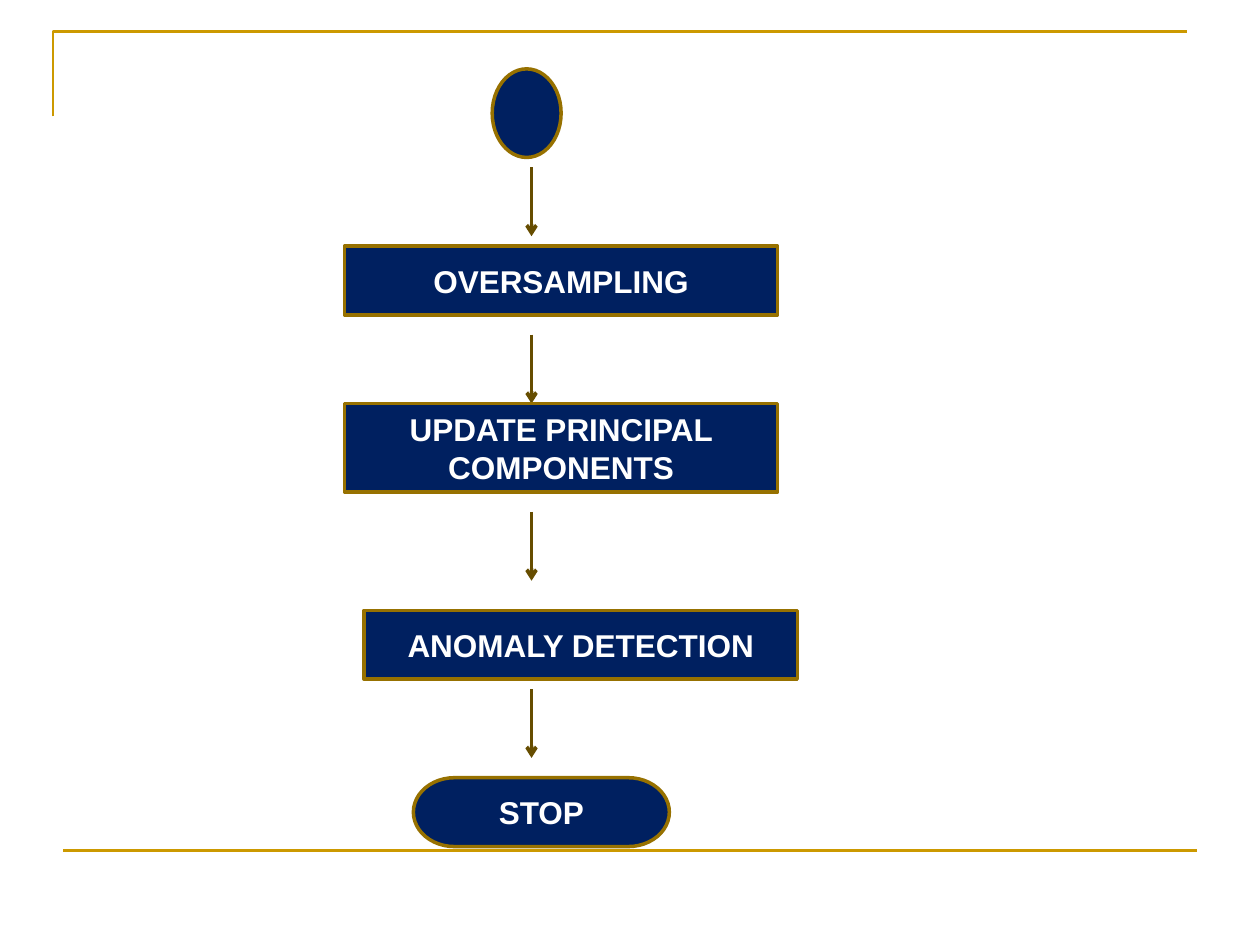
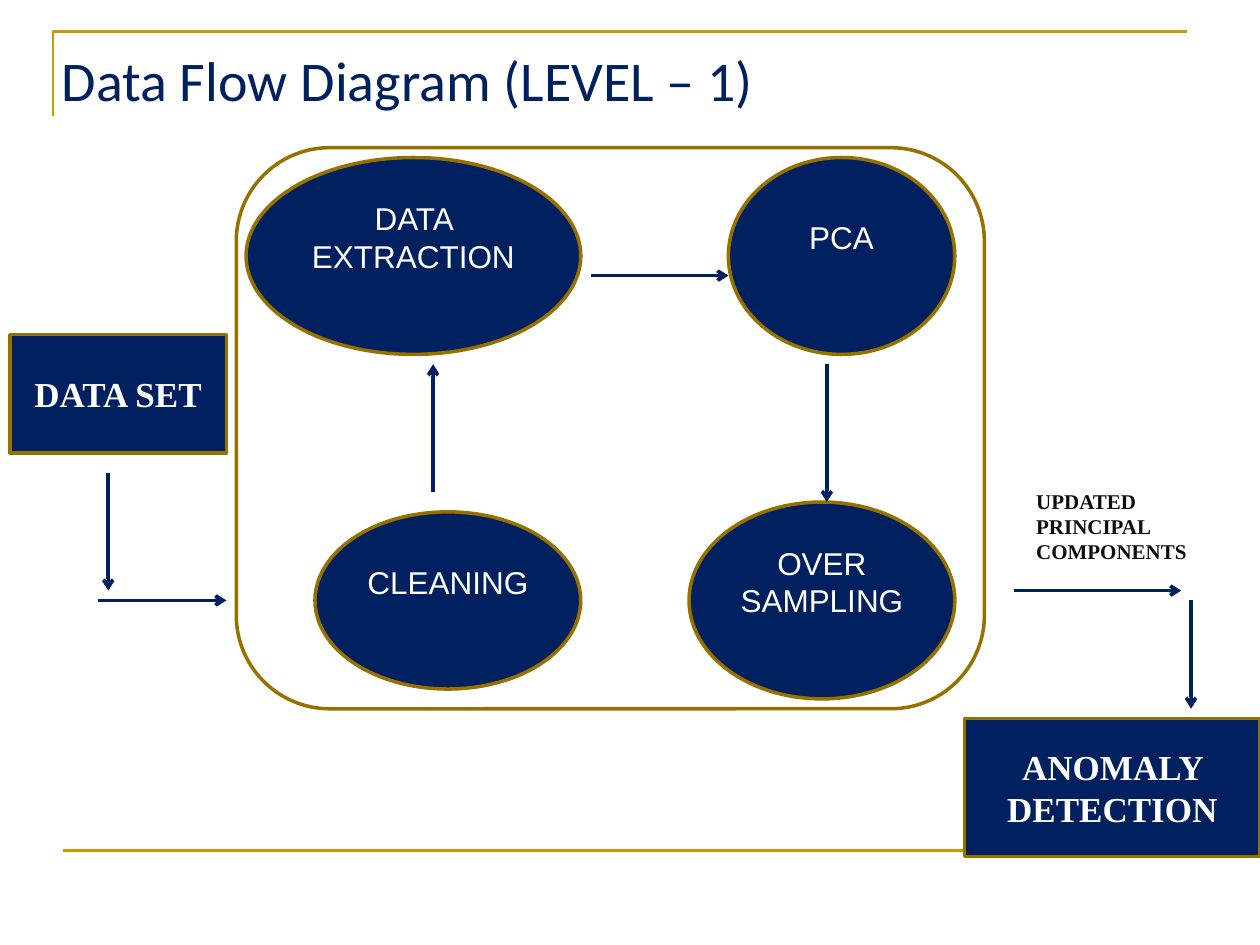
from lxml import etree
from pptx import Presentation, util as u
from pptx.dml.color import RGBColor
from pptx.enum import shapes, text
from pptx.oxml import ns

HUES = {"navy": "002060", "gold": "977100", "rule": "CC9900",
        "brown": "664D00", "white": "FFFFFF", "ink": "0D0D0D"}
KIND = shapes.MSO_SHAPE
WIDE, HIGH = u.Inches(10), u.Inches(7.5)
COLS, ROWS = 128, 96
CELL = WIDE / COLS  # square grid cell, also HIGH / ROWS
PAGE = (0, 0, COLS, ROWS)


def hue(name):
    return RGBColor.from_string(HUES[name])


def spot(box, col, row):
    """Point in EMU for a column and row inside a box."""
    return round((box[0] + col) * CELL), round((box[1] + row) * CELL)


def area(box, cell):
    """Left, top, width, height in EMU for a cell inside a box."""
    col, row, wide, high = cell
    return *spot(box, col, row), round(wide * CELL), round(high * CELL)


def write(frame, words, *, size=18, font="Arial", color="white", bold=False,
          align="CENTER", anchor="MIDDLE", side=0.1, base=0.05):
    """Fill a text frame, one paragraph for each line of words."""
    frame.word_wrap = True
    frame.vertical_anchor = getattr(text.MSO_ANCHOR, anchor)
    frame.margin_left = frame.margin_right = u.Inches(side)
    frame.margin_bottom = u.Inches(base)
    for i, line in enumerate(words.split("\n")):
        para = frame.add_paragraph() if i else frame.paragraphs[0]
        para.alignment = getattr(text.PP_ALIGN, align)
        run = para.add_run()
        run.text = line
        run.font.size, run.font.name, run.font.bold = u.Pt(size), font, bold
        run.font.color.rgb = hue(color)


def node(slide, box, kind, cell, words="", fill="navy", **style):
    form = slide.shapes.add_shape(kind, *area(box, cell))
    form.shadow.inherit = False
    form.fill.solid()
    form.fill.fore_color.rgb = hue(fill)
    form.line.color.rgb = hue("gold")
    form.line.width = u.Pt(2)
    if words:
        write(form.text_frame, words, **style)


def label(slide, box, cell, words, **style):
    note = slide.shapes.add_textbox(*area(box, cell))
    write(note.text_frame, words, align="LEFT", anchor="TOP", **style)


def link(slide, box, start, end, color="navy", width=2, head=True):
    line = slide.shapes.add_connector(
        shapes.MSO_CONNECTOR.STRAIGHT, *spot(box, *start), *spot(box, *end))
    line.line.color.rgb = hue(color)
    line.line.width = u.Pt(width)
    if head:
        etree.SubElement(line.line._get_or_add_ln(), ns.qn("a:tailEnd"), type="arrow")
    etree.SubElement(line._element.spPr, ns.qn("a:effectLst"))


def trim(slide, box):
    """Corner rule at the top and straight rule at the foot."""
    wide, high = box[2:]
    left, top, right = 0.042 * wide, 0.033 * high, 0.942 * wide
    path = slide.shapes.build_freeform(*spot(box, left, 0.123 * high))
    path.add_line_segments([spot(box, left, top), spot(box, right, top)], close=False)
    edge = path.convert_to_shape()
    edge.shadow.inherit = False
    edge.fill.background()
    edge.line.color.rgb = hue("rule")
    edge.line.width = u.Pt(1.5)
    link(slide, box, (0.05 * wide, 0.9 * high), (0.95 * wide, 0.9 * high),
         "rule", 1.5, head=False)


def steps(slide, box):
    """Flow chart that runs from the start dot down to STOP."""
    for row in (10, 27, 45, 63):
        link(slide, box, (19, row), (19, row + 7), "brown")
    node(slide, box, KIND.FLOWCHART_CONNECTOR, (15, 0, 7, 9))
    for kind, cell, words in (
            (KIND.FLOWCHART_PROCESS, (0, 18, 44, 7), "OVERSAMPLING"),
            (KIND.FLOWCHART_PROCESS, (0, 34, 44, 9), "UPDATE PRINCIPAL COMPONENTS"),
            (KIND.FLOWCHART_PROCESS, (2, 55, 44, 7), "ANOMALY DETECTION"),
            (KIND.FLOWCHART_TERMINATOR, (7, 72, 26, 7), "STOP")):
        node(slide, box, kind, cell, words, bold=True)


def cycle(slide, box):
    """Rounded frame with the four processes and the arrows between them."""
    node(slide, box, KIND.FLOWCHART_ALTERNATE_PROCESS, (0, 0, *box[2:]), fill="white")
    for cell, words in (
            ((1, 1, 34, 20), "DATA EXTRACTION"),
            ((50, 1, 23, 20), "PCA"),
            ((46, 36, 27, 20), "OVER\nSAMPLING"),
            ((8, 37, 27, 18), "CLEANING")):
        node(slide, box, KIND.OVAL, cell, words, side=0.05, base=0.35)
    for start, end in (((20, 35), (20, 22)), ((36, 13), (50, 13)), ((60, 22), (60, 36))):
        link(slide, box, start, end)


def ends(slide, box):
    """Data source on the left and result on the right."""
    style = dict(font="Times New Roman", bold=True)
    for cell, words in (((0, 0, 22, 12), "DATA SET"),
                        ((97, 39, 30, 14), "ANOMALY DETECTION")):
        node(slide, box, KIND.FLOWCHART_PROCESS, cell, words, size=20, **style)
    for start, end in (((10, 14), (10, 26)), ((9, 27), (22, 27)),
                       ((102, 26), (119, 26)), ((120, 27), (120, 38))):
        link(slide, box, start, end)
    label(slide, box, (103, 15, 24, 9), "UPDATED\nPRINCIPAL\nCOMPONENTS",
          size=12, color="ink", **style)


def main():
    deck = Presentation()
    deck.slide_width, deck.slide_height = WIDE, HIGH
    first, second = (deck.slides.add_slide(deck.slide_layouts[6]) for _ in range(2))
    for slide in (first, second):
        trim(slide, PAGE)
    steps(first, (35, 7, 46, 79))
    label(second, PAGE, (5, 4, 116, 16), "Data Flow Diagram (LEVEL – 1)",
          size=32, font="Calibri", color="navy")
    cycle(second, (24, 15, 76, 57))
    ends(second, (1, 34, 127, 53))
    deck.save("out.pptx")


if __name__ == "__main__":
    main()
